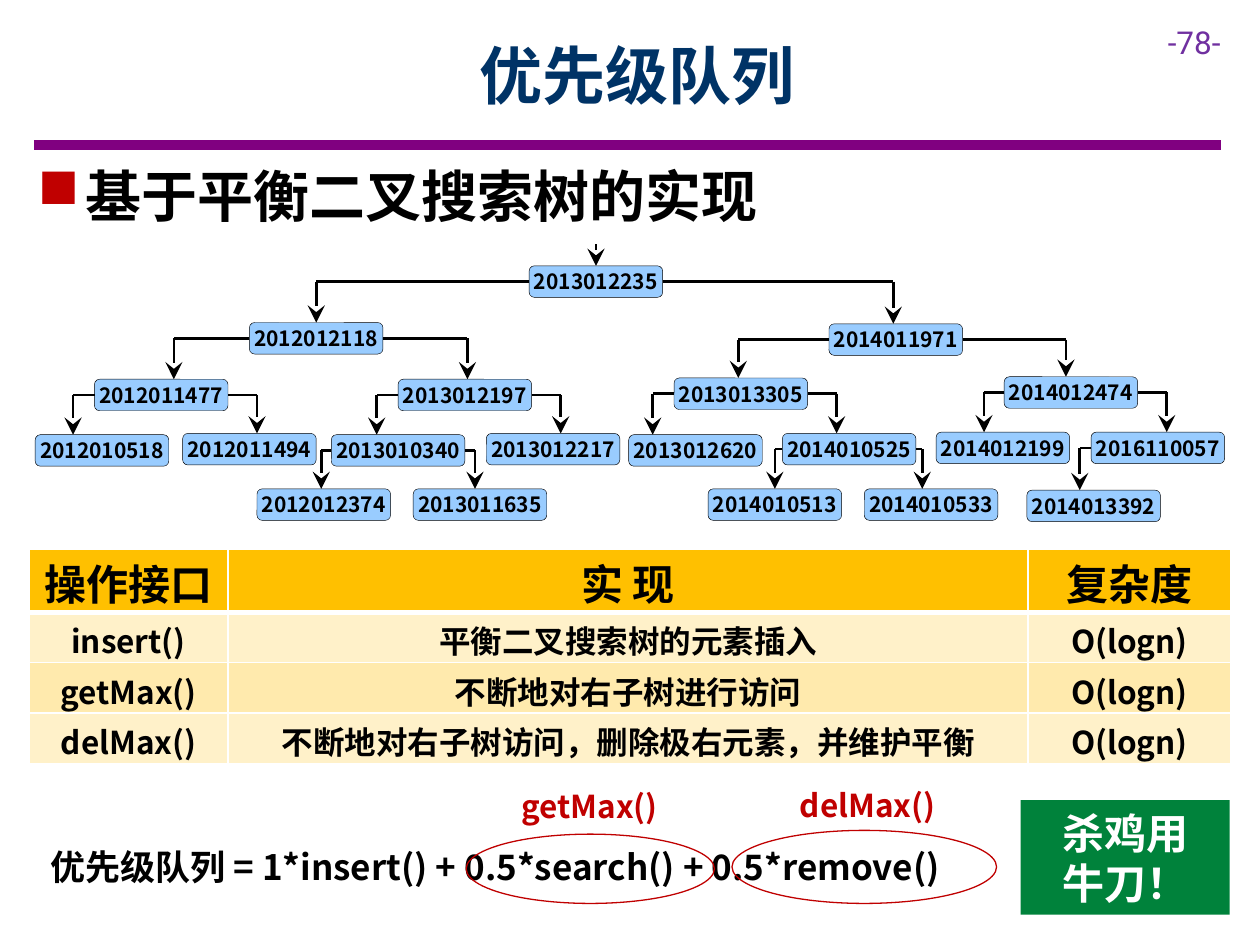
from dataclasses import dataclass

from lxml import etree
from pptx import Presentation
from pptx.dml.color import RGBColor
from pptx.enum.shapes import MSO_CONNECTOR, MSO_SHAPE
from pptx.enum.text import MSO_ANCHOR, PP_ALIGN
from pptx.oxml.ns import qn
from pptx.slide import Slide
from pptx.util import Inches, Pt

COLUMNS, ROWS = 100, 75  # grid of the slide
CELL = Inches(10) // COLUMNS
NODE_WIDTH, NODE_HEIGHT = 10.6, 2.5

# Tree nodes: label, left, top, column of the incoming arrow, parent
NODES = [
    ("2013012235", 42.0, 21.1, 47.3, None),
    ("2012012118", 19.8, 25.6, 25.1, "2013012235"),
    ("2014011971", 65.8, 25.7, 70.9, "2013012235"),
    ("2012011477", 7.5, 30.1, 13.8, "2012012118"),
    ("2013012197", 31.6, 30.1, 37.1, "2012012118"),
    ("2013013305", 53.5, 30.0, 58.6, "2014011971"),
    ("2014012474", 79.7, 29.9, 84.6, "2014011971"),
    ("2012010518", 2.8, 34.5, 5.8, "2012011477"),
    ("2012011494", 14.5, 34.4, 20.4, "2012011477"),
    ("2013010340", 26.3, 34.5, 29.9, "2013012197"),
    ("2013012217", 38.6, 34.4, 44.5, "2013012197"),
    ("2013012620", 49.9, 34.5, 51.8, "2013013305"),
    ("2014010525", 62.1, 34.4, 66.4, "2013013305"),
    ("2014012199", 74.3, 34.3, 78.1, "2014012474"),
    ("2016110057", 86.6, 34.3, 92.6, "2014012474"),
    ("2012012374", 20.4, 38.8, 25.5, "2013010340"),
    ("2013011635", 32.8, 38.8, 37.7, "2013010340"),
    ("2014010513", 56.2, 38.8, 61.5, "2014010525"),
    ("2014010533", 68.6, 38.8, 73.2, "2014010525"),
    ("2014013392", 81.5, 38.9, 85.7, "2016110057"),
]

OPERATIONS = [
    ("操作接口", "实 现", "复杂度"),
    ("insert()", "平衡二叉搜索树的元素插入", "O(logn)"),
    ("getMax()", "不断地对右子树进行访问", "O(logn)"),
    ("delMax()", "不断地对右子树访问，删除极右元素，并维护平衡", "O(logn)"),
]


def grid(count):
    return round(count * CELL)


def color(value):
    return RGBColor.from_string(value)


def add_bullet(paragraph, symbol, bullet_color, indent):
    properties = paragraph._p.get_or_add_pPr()
    properties.set("marL", str(grid(indent)))
    properties.set("indent", str(-grid(indent)))
    holder = etree.SubElement(properties, qn("a:buClr"))
    etree.SubElement(holder, qn("a:srgbClr"), val=bullet_color)
    etree.SubElement(properties, qn("a:buChar"), char=symbol)


def write(frame, text, size=18, ink="000000", bold=True, align=PP_ALIGN.LEFT,
          font="Noto Sans CJK SC", bullet=None):
    """Fill a text frame, one paragraph for each line."""
    frame.word_wrap = True
    for index, line in enumerate(text.split("\n")):
        paragraph = frame.add_paragraph() if index else frame.paragraphs[0]
        paragraph.alignment = align
        if bullet:
            add_bullet(paragraph, *bullet)
        run = paragraph.add_run()
        run.text = line
        run.font.name, run.font.size, run.font.bold = font, Pt(size), bold
        run.font.color.rgb = color(ink)
        etree.SubElement(run._r.get_or_add_rPr(), qn("a:ea"), typeface=font)


def center_vertically(frame):
    frame.vertical_anchor = MSO_ANCHOR.MIDDLE
    frame.margin_top = frame.margin_bottom = 0


@dataclass
class Page:
    slide: Slide
    red: str = "C00000"
    gold: str = "FFC000"
    black: str = "000000"

    def text(self, box, text, **format):
        shape = self.slide.shapes.add_textbox(*map(grid, box))
        center_vertically(shape.text_frame)
        write(shape.text_frame, text, **format)

    def shape(self, kind, box, fill=None, line=None, width=0.75):
        shape = self.slide.shapes.add_shape(kind, *map(grid, box))
        shape.shadow.inherit = False
        if fill:
            shape.fill.solid()
            shape.fill.fore_color.rgb = color(fill)
        else:
            shape.fill.background()
        if line:
            shape.line.color.rgb = color(line)
            shape.line.width = Pt(width)
        else:
            shape.line.fill.background()
        center_vertically(shape.text_frame)
        return shape

    def line(self, start, end, ink="000000", width=1.5, arrow=False):
        connector = self.slide.shapes.add_connector(
            MSO_CONNECTOR.STRAIGHT, *map(grid, start + end))
        connector.line.color.rgb = color(ink)
        connector.line.width = Pt(width)
        if arrow:
            etree.SubElement(connector.line._get_or_add_ln(), qn("a:tailEnd"),
                             type="stealth", w="lg", len="lg")
        etree.SubElement(connector._element.spPr, qn("a:effectLst"))

    def node(self, label, left, top):
        shape = self.shape(MSO_SHAPE.ROUNDED_RECTANGLE,
                           (left, top, NODE_WIDTH, NODE_HEIGHT),
                           "99CCFF", self.black, 0.25)
        shape.text_frame.margin_left = shape.text_frame.margin_right = 0
        write(shape.text_frame, label, size=12, align=PP_ALIGN.CENTER)

    def tree(self, nodes):
        places = {label: (left, top) for label, left, top, *_ in nodes}
        for label, left, top, column, parent in nodes:
            start = top - 1.7
            if parent:
                parent_left, parent_top = places[parent]
                start = parent_top + NODE_HEIGHT / 2
                side = parent_left + (NODE_WIDTH if column > parent_left else 0)
                self.line((side, start), (column, start))
            self.line((column, start), (column, top), arrow=True)
            self.node(label, left, top)

    def table(self, left, top, widths, heights, rows):
        table = self.slide.shapes.add_table(
            len(rows), len(widths), grid(left), grid(top),
            grid(sum(widths)), grid(sum(heights))).table
        for column, width in zip(table.columns, widths):
            column.width = grid(width)
        for index, (row, height) in enumerate(zip(table.rows, heights)):
            row.height = grid(height)
            opacity = 100 if index == 0 else 21 if index % 2 else 32
            for cell, text in zip(row.cells, rows[index]):
                cell.margin_top = grid(0.4 if index else 0.2)
                cell.margin_bottom = 0
                write(cell.text_frame, text, size=18 if index else 24,
                      align=PP_ALIGN.CENTER)
                self.borders(cell, above=3 if index == 1 else 1,
                             below=1 if index else 3)
                self.cell_fill(cell, opacity)

    def borders(self, cell, above, below):
        widths = {"lnL": 1, "lnR": 1, "lnT": above, "lnB": below}
        for side, width in widths.items():
            border = etree.SubElement(cell._tc.get_or_add_tcPr(),
                                      qn(f"a:{side}"), w=str(Pt(width)))
            fill = etree.SubElement(border, qn("a:solidFill"))
            etree.SubElement(fill, qn("a:srgbClr"), val="FFFFFF")

    def cell_fill(self, cell, opacity):
        cell.fill.solid()
        cell.fill.fore_color.rgb = color(self.gold)
        if opacity < 100:
            shade = cell._tc.tcPr.find(qn("a:solidFill"))[0]
            etree.SubElement(shade, qn("a:alpha"), val=str(opacity * 1000))


def main():
    presentation = Presentation()
    presentation.slide_width = grid(COLUMNS)
    presentation.slide_height = grid(ROWS)
    page = Page(presentation.slides.add_slide(presentation.slide_layouts[6]))

    # Heading
    page.line((2.7, 11.5), (96.9, 11.5), ink="800080", width=6)
    page.text((91.7, 1.3, 8.3, 4), "-78-", ink="7030A0", bold=False,
              font="Roboto")
    page.text((9, 0.9, 83.1, 10), "优先级队列", size=36, ink="003366",
              align=PP_ALIGN.CENTER)
    page.text((2, 12.3, 63.7, 6.4), "基于平衡二叉搜索树的实现", size=32,
              bullet=("■", page.red, 3.8))

    # Search tree and table of operations
    page.tree(NODES)
    page.table(2.3, 43.6, (15.8, 63.5, 16.1), (5, 4, 4, 4), OPERATIONS)

    # Cost formula with its marked terms
    page.text((3, 66.6, 76.2, 4.4),
              "优先级队列 = 1*insert() + 0.5*search() + 0.5*remove()", size=20)
    for box in ((37, 66.2, 19.7, 5.5), (58.1, 65.9, 21, 5.8)):
        page.shape(MSO_SHAPE.OVAL, box, line=page.red)
    page.text((40.4, 62, 13.7, 4), "getMax()", ink=page.red)
    page.text((62.5, 61.9, 13.4, 4), "delMax()", ink=page.red)

    # Verdict
    verdict = page.shape(MSO_SHAPE.RECTANGLE, (81, 63.5, 16.6, 9.1), "00823B")
    write(verdict.text_frame, "杀鸡用\n牛刀！", size=24, ink="FFFFFF",
          align=PP_ALIGN.CENTER)

    presentation.save("out.pptx")


if __name__ == "__main__":
    main()
